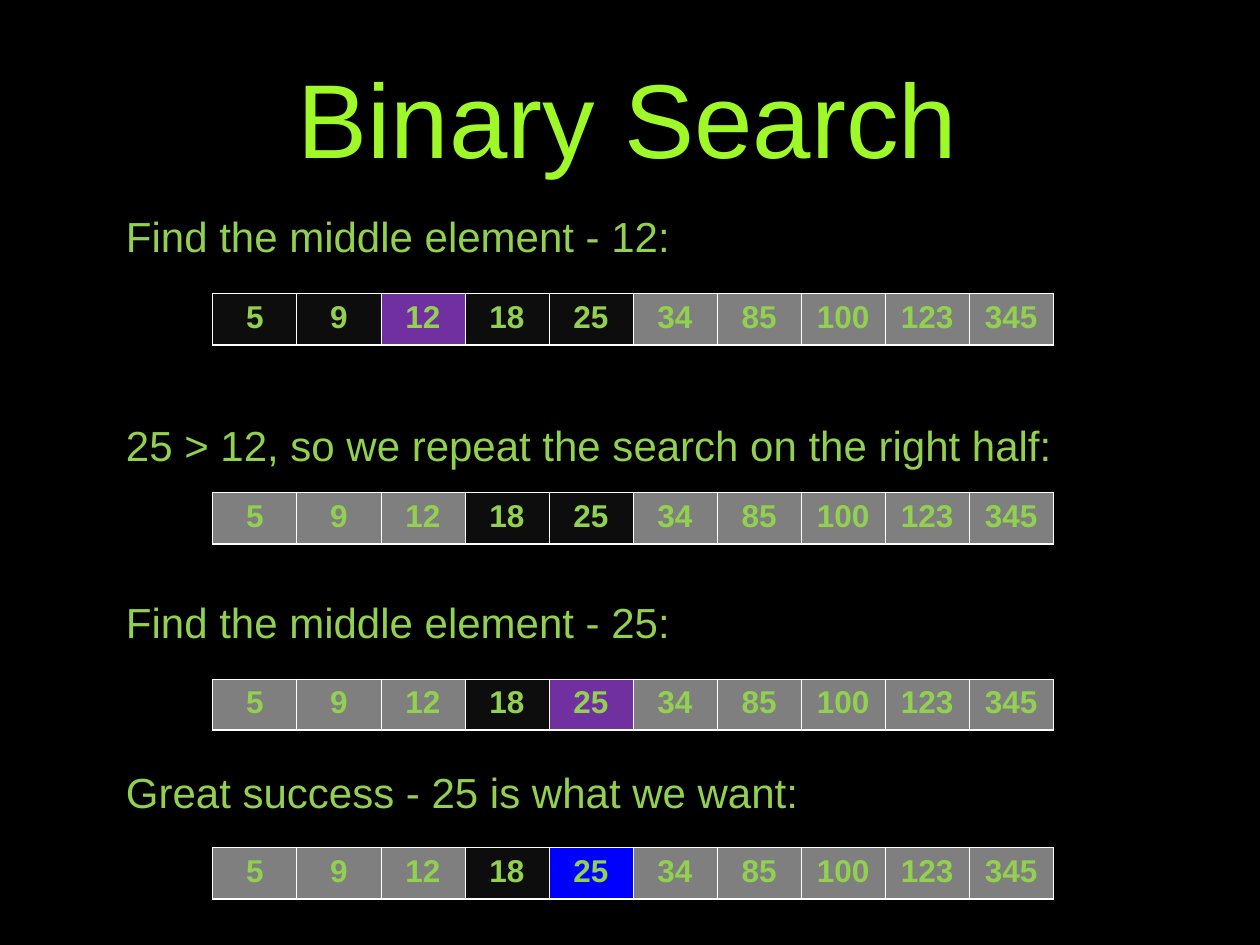
from dataclasses import dataclass

from lxml import etree
from pptx import Presentation
from pptx.dml.color import RGBColor
from pptx.enum.text import MSO_ANCHOR, PP_ALIGN
from pptx.oxml.ns import qn
from pptx.util import Cm, Pt

LEFT, CENTER = PP_ALIGN.LEFT, PP_ALIGN.CENTER
TOP, MIDDLE = MSO_ANCHOR.TOP, MSO_ANCHOR.MIDDLE


@dataclass(frozen=True)
class Theme:
    font: str = "Arial"
    back: str = "000000"
    title: str = "9FF828"
    text: str = "92D050"
    rule: str = "FFFFFF"
    live: str = "0D0D0D"
    dead: str = "7F7F7F"
    middle: str = "7030A0"
    found: str = "0000FF"
    title_size: int = 60
    text_size: int = 24
    cell_size: int = 18
    thin: float = 0.45
    thick: float = 1.47


THEME = Theme()
VALUES = (5, 9, 12, 18, 25, 34, 85, 100, 123, 345)

# Text, text top, text width, table top (cm), live values, marked value, mark
STEPS = (
    ("Find the middle element - 12:", 4.11, 18.39, 5.92,
     (5, 9, 12, 18, 25), 12, THEME.middle),
    ("25 > 12, so we repeat the search on the right half:", 8.33, 20.19, 9.93,
     (18, 25), None, None),
    ("Find the middle element - 25:", 11.91, 16.99, 13.69,
     (18, 25), 25, THEME.middle),
    ("Great success - 25 is what we want:", 15.32, 20.6, 17.09,
     (18, 25), 25, THEME.found),
)


def paint(fill, color):
    fill.solid()
    fill.fore_color.rgb = RGBColor.from_string(color)


def write(frame, text, size, color, align=LEFT, bold=False):
    para = frame.paragraphs[0]
    para.alignment = align
    run = para.add_run()
    run.text = text
    font = run.font
    font.name, font.size, font.bold = THEME.font, Pt(size), bold
    font.color.rgb = RGBColor.from_string(color)


def add_text(slide, box, text, size, color, align=LEFT, anchor=TOP):
    frame = slide.shapes.add_textbox(*map(Cm, box)).text_frame
    frame.word_wrap = True
    frame.vertical_anchor = anchor
    write(frame, text, size, color, align)
    return frame


def add_title(slide, text):
    frame = add_text(slide, (1.27, 0.18, 22.86, 4.34), text,
                     THEME.title_size, THEME.title, CENTER, MIDDLE)
    frame.margin_left = frame.margin_top = frame.margin_bottom = Cm(0.15)


def add_edges(cell):
    """Rule all four sides of a cell, the bottom one thicker."""
    props = cell._tc.get_or_add_tcPr()
    for side in "LRTB":
        width = THEME.thick if side == "B" else THEME.thin
        line = etree.SubElement(props, qn(f"a:ln{side}"), w=str(Pt(width)))
        fill = etree.SubElement(line, qn("a:solidFill"))
        etree.SubElement(fill, qn("a:srgbClr"), val=THEME.rule)


def add_array(slide, top, live, hit, mark):
    """Draw all values as one row, dimming those outside the live part."""
    frame = slide.shapes.add_table(
        1, len(VALUES), Cm(4.29), Cm(top), Cm(16.94), Cm(1.03))
    table = frame.table
    table.first_row = table.horz_banding = False
    for cell, value in zip(table.iter_cells(), VALUES):
        add_edges(cell)
        base = THEME.live if value in live else THEME.dead
        paint(cell.fill, mark if value == hit else base)
        write(cell.text_frame, str(value), THEME.cell_size, THEME.text,
              CENTER, bold=True)


def main():
    deck = Presentation()
    deck.slide_width, deck.slide_height = Cm(25.4), Cm(19.05)
    slide = deck.slides.add_slide(deck.slide_layouts[6])
    paint(slide.background.fill, THEME.back)
    add_title(slide, "Binary Search")
    for text, top, width, row, live, hit, mark in STEPS:
        add_text(slide, (2.29, top, width, 1.27), text,
                 THEME.text_size, THEME.text)
        add_array(slide, row, live, hit, mark)
    deck.save("out.pptx")


if __name__ == "__main__":
    main()
